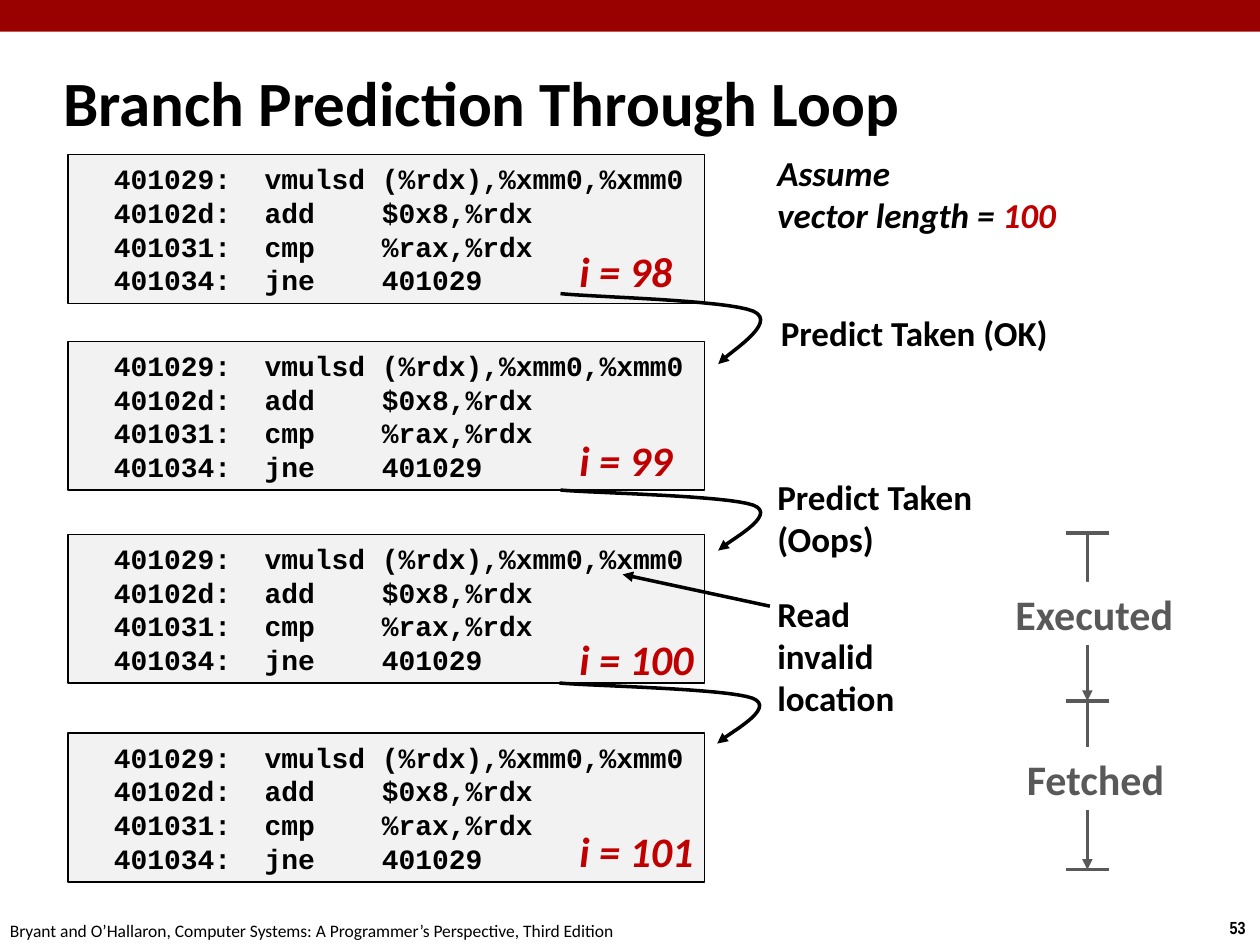
"""Build the slide on branch prediction through a loop."""
from pptx import Presentation
from pptx.dml.color import RGBColor
from pptx.enum.shapes import MSO_CONNECTOR, MSO_SHAPE
from pptx.enum.text import MSO_ANCHOR, MSO_AUTO_SIZE, PP_ALIGN
from pptx.oxml.ns import qn
from pptx.util import Cm, Pt
from lxml.etree import SubElement

BLACK = RGBColor(0x00, 0x00, 0x00)
WHITE = RGBColor(0xFF, 0xFF, 0xFF)
BANNER = RGBColor(0x99, 0x00, 0x00)
RED = RGBColor(0xC0, 0x00, 0x00)
GRAY = RGBColor(0x59, 0x59, 0x59)
PALE = RGBColor(0xF2, 0xF2, 0xF2)

CODE = """  401029:  vmulsd (%rdx),%xmm0,%xmm0
  40102d:  add    $0x8,%rdx
  401031:  cmp    %rax,%rdx
  401034:  jne    401029"""
ITERATIONS = [
    (3.12, "i = 98", 4.83, 2.39),
    (6.88, "i = 99", 8.64, 2.39),
    (10.77, "i = 100", 12.65, 2.82),
    (14.78, "i = 101", 16.51, 2.82),
]
JUMPS = [(11.3, 5.92, 1.42), (11.3, 9.88, 1.22), (11.28, 13.77, 1.22)]
JUMP_CURVES = [
    [(0, 0), (0.66, 0.05), (3.35, 0.09), (3.89, 0.25)],
    [(3.89, 0.25), (4.42, 0.42), (3.33, 0.86), (3.18, 1)],
]
LEVELS = [10.74, 14.13, 17.53]
AXIS_X = 21.92


def bezier(points, t):
    """Return the point at t on a cubic curve."""
    weights = ((1 - t) ** 3, 3 * t * (1 - t) ** 2, 3 * t * t * (1 - t), t ** 3)
    return tuple(sum(w * pt[k] for w, pt in zip(weights, points)) for k in (0, 1))


class SlideBuilder:
    """Hold the style and the current slide."""

    font = "Calibri"
    line_width = Pt(2)
    steps = 16

    def __init__(self, slide):
        self.s = slide

    def set_text(self, tf, text, size, color=BLACK, bold=True, italic=False, font=None):
        """Fill a text frame with evenly styled paragraphs."""
        for i, line in enumerate(text.split("\n")):
            p = tf.add_paragraph() if i else tf.paragraphs[0]
            p.add_run().text = line
            p.alignment = PP_ALIGN.LEFT
            p.font.name = font or self.font
            p.font.size = Pt(size)
            p.font.bold = bold
            p.font.italic = italic
            p.font.color.rgb = color
        return tf

    def title(self, text, left, top, width, height):
        """Place and style the title placeholder."""
        sp = self.s.shapes.title
        sp.left, sp.top, sp.width, sp.height = map(Cm, (left, top, width, height))
        tf = self.set_text(sp.text_frame, text, 36)
        tf.vertical_anchor = MSO_ANCHOR.MIDDLE
        tf.auto_size = MSO_AUTO_SIZE.NONE

    def text(self, text, left, top, width, height, size=20, fill=None, wrap=False, **style):
        """Add a text box and return its frame."""
        sp = self.s.shapes.add_textbox(*map(Cm, (left, top, width, height)))
        if fill is not None:
            sp.fill.solid()
            sp.fill.fore_color.rgb = fill
        sp.text_frame.word_wrap = wrap
        return self.set_text(sp.text_frame, text, size, **style)

    def box(self, left, top, width, height, fill, line=None):
        """Add a filled rectangle and return its text frame."""
        sp = self.s.shapes.add_shape(MSO_SHAPE.RECTANGLE, *map(Cm, (left, top, width, height)))
        sp.shadow.inherit = False
        sp.fill.solid()
        sp.fill.fore_color.rgb = fill
        if line is None:
            sp.line.fill.background()
        else:
            sp.line.color.rgb = line
            sp.line.width = Pt(0.75)
        sp.text_frame.word_wrap = False
        return sp.text_frame

    def stroke(self, sp, color, arrow):
        """Style a line, with an arrowhead at its end if asked."""
        sp.line.color.rgb = color
        sp.line.width = self.line_width
        if arrow:
            SubElement(sp._element.spPr.get_or_add_ln(), qn("a:tailEnd"), type="triangle")

    def line(self, x1, y1, x2, y2, color=BLACK, arrow=False):
        """Add a straight line."""
        sp = self.s.shapes.add_connector(MSO_CONNECTOR.STRAIGHT, *map(Cm, (x1, y1, x2, y2)))
        self.stroke(sp, color, arrow)
        SubElement(sp._element.spPr, qn("a:effectLst"))

    def jump(self, left, top, height):
        """Add a curved arrow to the next iteration."""
        points = [bezier(c, k / self.steps) for c in JUMP_CURVES for k in range(1, self.steps + 1)]
        builder = self.s.shapes.build_freeform(Cm(left), Cm(top))
        builder.add_line_segments(
            [(Cm(left + x), Cm(top + y * height)) for x, y in points], close=False)
        sp = builder.convert_to_shape()
        sp.fill.background()
        sp.shadow.inherit = False
        self.stroke(sp, BLACK, arrow=True)


def main():
    """Build and save the slide."""
    prs = Presentation()
    prs.slide_width, prs.slide_height = Cm(25.4), Cm(19.05)
    b = SlideBuilder(prs.slides.add_slide(prs.slide_layouts[5]))

    b.box(0, 0, 25.4, 0.64, BANNER)
    b.text("53", 24.54, 18.36, 0.86, 0.69, size=10, font="Arial Narrow")
    b.text("Bryant and O’Hallaron, Computer Systems: A Programmer’s Perspective, Third Edition",
           -0.05, 18.42, 12.9, 0.69, size=10, bold=False)
    b.title("Branch Prediction Through Loop", 1.02, 1.24, 21.82, 1.6)

    for top, label, label_top, label_width in ITERATIONS:
        b.set_text(b.box(1.37, top, 12.83, 3, PALE, BLACK), CODE, 16, font="Courier New")
        b.text(label, 11.43, label_top, label_width, 1.27, size=24, color=RED, italic=True)
    for jump in JUMPS:
        b.jump(*jump)

    tf = b.text("Assume\nvector length = ", 15.42, 2.92, 6.17, 1.96, italic=True)
    r = tf.paragraphs[1].add_run()
    r.text = "100"
    r.font.color.rgb = RED
    b.text("Predict Taken (OK)", 15.49, 6.15, 5.94, 1.12)
    b.text("Predict Taken\n(Oops)", 15.42, 9.47, 4.47, 1.96)
    b.text("Read invalid location", 15.42, 11.81, 3.61, 2.82, wrap=True)
    b.line(15.52, 12.22, 12.55, 11.58, arrow=True)

    for start, end in zip(LEVELS, LEVELS[1:]):
        b.line(AXIS_X, start, AXIS_X, end, GRAY, arrow=True)
    b.text("Executed", 20.22, 11.73, 3.73, 1.27, size=24, fill=WHITE, color=GRAY)
    b.text("Fetched", 20.45, 15.06, 3.3, 1.27, size=24, fill=WHITE, color=GRAY)
    for y in LEVELS:
        b.line(AXIS_X - 0.43, y, AXIS_X + 0.43, y, GRAY)

    prs.save("out.pptx")


if __name__ == "__main__":
    main()
